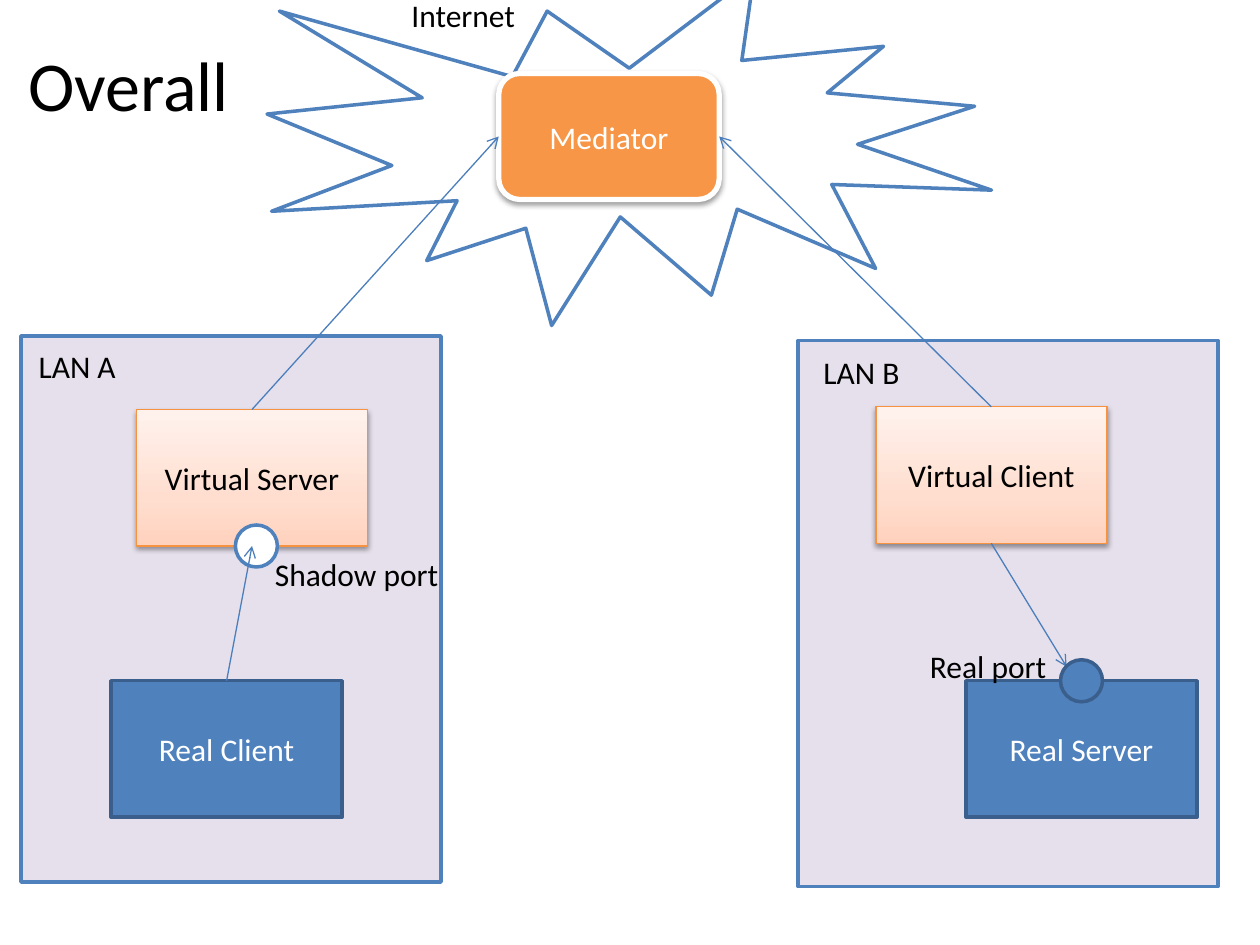
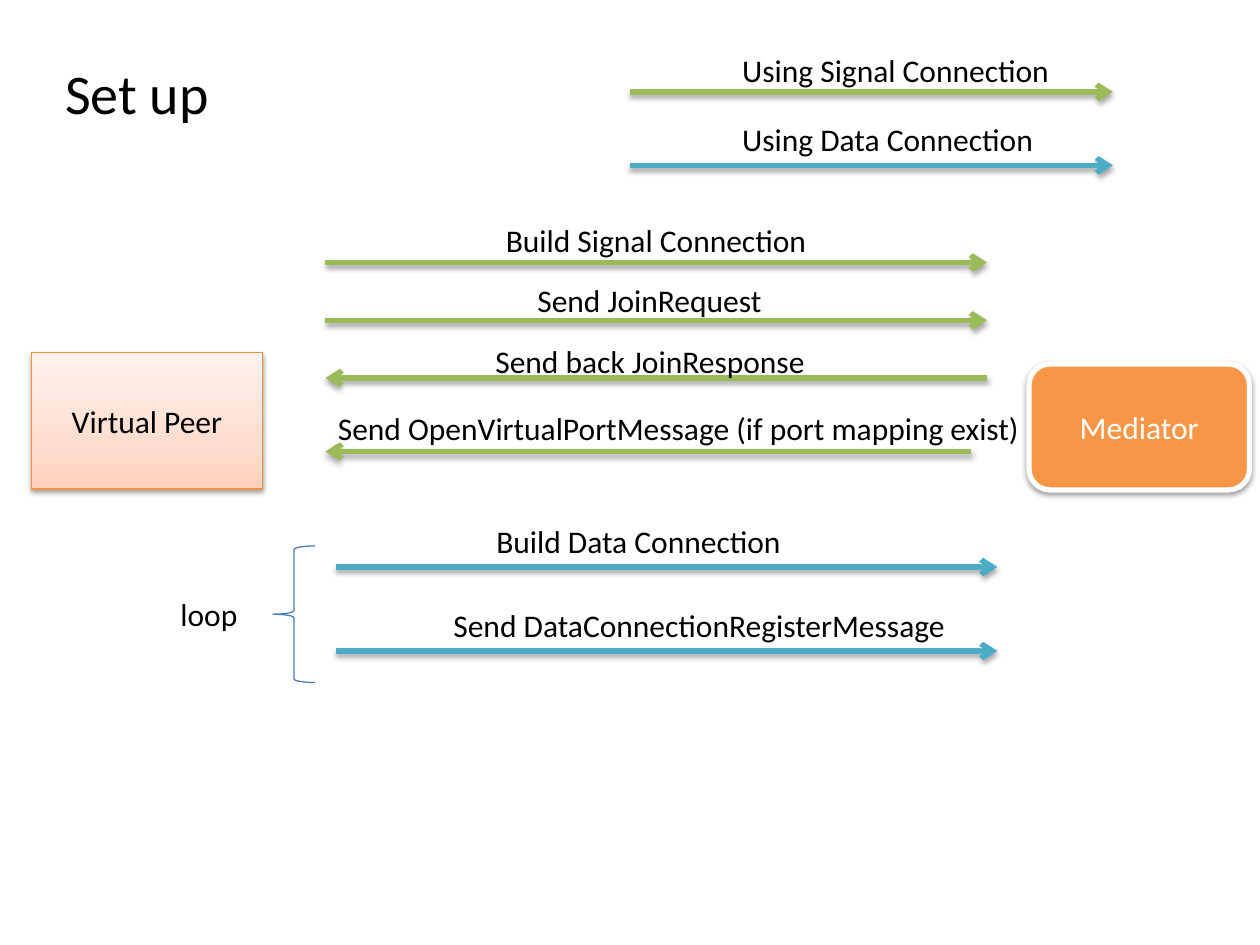
from lxml import etree
from pptx import Presentation
from pptx.dml.color import RGBColor
from pptx.enum import shapes, text
from pptx.oxml import parse_xml
from pptx.oxml.ns import qn
from pptx.util import Pt

FONT = "Calibri"
BLUE, NAVY, THIN = "4F81BD", "3A5F8C", "4B7EBC"
GREEN, TEAL = "9BBB59", "4BACC6"
ORANGE, LILAC, WHITE, BLACK = "F79646", "E6E0EC", "FFFFFF", "000000"
PEACH = [(0, "FFD2BD"), (35, "FFDED0"), (100, "FFF2ED")]
NS = 'xmlns:a="http://schemas.openxmlformats.org/drawingml/2006/main"'
SHADE = ('<a:outerShdw {} blurRad="40000" dist="{}" dir="5400000" rotWithShape="0">'
         '<a:srgbClr val="000000"><a:alpha val="{}"/></a:srgbClr></a:outerShdw>')
rgb = RGBColor.from_string
geo = shapes.MSO_SHAPE

# Looks: preset, fill, line colour, line width, text colour, shadow
LAN = (geo.RECTANGLE, LILAC, BLUE, 2, BLACK, False)
BURST = (geo.EXPLOSION1, WHITE, BLUE, 2, BLACK, False)
HUB = (geo.ROUNDED_RECTANGLE, ORANGE, WHITE, 3, WHITE, True)
VIRTUAL = (geo.RECTANGLE, PEACH, "F69240", 0.75, BLACK, True)
REAL = (geo.RECTANGLE, BLUE, NAVY, 2, WHITE, False)
SHADOW_PORT = (geo.FLOWCHART_CONNECTOR, WHITE, BLUE, 2, BLACK, False)
REAL_PORT = (geo.FLOWCHART_CONNECTOR, BLUE, NAVY, 2, WHITE, False)
BRACE = (geo.LEFT_BRACE, None, THIN, 0.75, BLACK, False)
LABEL = None
TITLE = "title"


def box(slide, look, x, y, w, h, words="", size=18):
    """Place a title, a plain label or a styled shape."""
    area = [Pt(v) for v in (x, y, w, h)]
    ink = BLACK
    if look == TITLE:
        item = slide.shapes.title
        item.left, item.top, item.width, item.height = area
    elif look is LABEL:
        item = slide.shapes.add_textbox(*area)
    else:
        kind, fill, edge, width, ink, shade = look
        item = slide.shapes.add_shape(kind, *area)
        if fill is None:
            item.fill.background()
        elif fill is PEACH:
            item.fill.gradient()
            item.fill.gradient_angle = 90
            stops = item._element.spPr.find(".//" + qn("a:gsLst"))
            for old in list(stops):
                stops.remove(old)
            for pos, tone in PEACH:
                stops.append(parse_xml(f'<a:gs {NS} pos="{pos * 1000}">'
                                       f'<a:srgbClr val="{tone}"/></a:gs>'))
        else:
            item.fill.solid()
            item.fill.fore_color.rgb = rgb(fill)
        item.line.color.rgb = rgb(edge)
        item.line.width = Pt(width)
        item.shadow.inherit = False
        if shade:
            item._element.spPr.find(qn("a:effectLst")).append(
                parse_xml(SHADE.format(NS, 20000, 38000)))
    if not words:
        return
    frame = item.text_frame
    para = frame.paragraphs[0]
    if look in (LABEL, TITLE):
        frame.word_wrap = False
        frame.auto_size = text.MSO_AUTO_SIZE.SHAPE_TO_FIT_TEXT
        frame.vertical_anchor = text.MSO_ANCHOR.TOP
        para.alignment = text.PP_ALIGN.LEFT
    else:
        frame.vertical_anchor = text.MSO_ANCHOR.MIDDLE
        para.alignment = text.PP_ALIGN.CENTER
    run = para.add_run()
    run.text = words
    run.font.name, run.font.size = FONT, Pt(size)
    run.font.color.rgb = rgb(ink)


def arrow(slide, x1, y1, x2, y2, tone=THIN, width=0.75, shade=False):
    """Draw a straight arrow that points at its second end."""
    link = slide.shapes.add_connector(shapes.MSO_CONNECTOR.STRAIGHT,
                                      Pt(x1), Pt(y1), Pt(x2), Pt(y2))
    link.line.color.rgb = rgb(tone)
    link.line.width = Pt(width)
    props = link._element.spPr
    etree.SubElement(props.find(qn("a:ln")), qn("a:tailEnd"), type="arrow")
    effect = etree.SubElement(props, qn("a:effectLst"))
    if shade:
        effect.append(parse_xml(SHADE.format(NS, 23000, 35000)))


deck = Presentation()
deck.slide_width, deck.slide_height = Pt(720), Pt(540)
plain = deck.slide_layouts[5]

# Slide 1: networks and the mediator between them
page = deck.slides.add_slide(plain)
box(page, TITLE, 9, 20, 130, 55.7, "Overall", 40)
box(page, LAN, 456, 194.5, 240, 312)
box(page, LAN, 12, 192, 240, 312)
box(page, BURST, 152.6, -15, 414, 201)
box(page, HUB, 285, 42, 126, 72, "Mediator")
for look, x, y, words in [
    (VIRTUAL, 78, 234, "Virtual Server"),
    (VIRTUAL, 500.5, 232.5, "Virtual Client"),
    (REAL, 63.5, 389, "Real Client"),
    (REAL, 552, 389, "Real Server"),
]:
    box(page, look, x, y, 132, 78, words)

# Links into the mediator and the real server
arrow(page, 566.5, 310.5, 609.5, 381)
arrow(page, 566.5, 232.5, 411, 78)
arrow(page, 144, 234, 285, 78)

# Ports, with the client's link drawn over its port
box(page, REAL_PORT, 606, 377, 24, 24)
box(page, SHADOW_PORT, 134.5, 300, 24, 24)
arrow(page, 129.5, 389, 144, 312)

for x, y, w, words in [
    (15, 195, 59, "LAN A"),
    (463.5, 198, 58, "LAN B"),
    (228, -6, 74, "Internet"),
    (150, 313.5, 108.5, "Shadow port"),
    (524.3, 366, 82, "Real port"),
]:
    box(page, LABEL, x, y, w, 29, words)

# Slide 2: message sequence
page = deck.slides.add_slide(plain)
box(page, TITLE, 30, 30, 97, 46, "Set up", 32)
box(page, HUB, 588, 208, 126, 72, "Mediator")
box(page, VIRTUAL, 18, 201.5, 132, 78, "Virtual Peer")

# Each message: arrow start, end, height, colour, then label place and words
for x1, x2, y, tone, x, top, w, words in [
    (360, 636, 52.5, GREEN, 417, 25.5, 192, "Using Signal Connection"),
    (360, 636, 94.5, TEAL, 417, 65, 183, "Using Data Connection"),
    (186, 564, 150, GREEN, 282, 123, 188.5, "Build Signal Connection"),
    (186, 564, 183, GREEN, 300, 157, 144, "Send JoinRequest"),
    (564, 186, 216, GREEN, 276, 192, 197, "Send back JoinResponse"),
    (555, 186, 258, GREEN, 186, 230, 412.5,
     "Send OpenVirtualPortMessage (if port mapping exist)"),
    (192, 570, 324, TEAL, 276.5, 295, 179, "Build Data Connection"),
    (192, 570, 372, TEAL, 252, 342.5, 303, "Send DataConnectionRegisterMessage"),
]:
    arrow(page, x1, y, x2, y, tone, 3, True)
    box(page, LABEL, x, top, w, 29, words)

# Loop over the data connections
box(page, BRACE, 156, 312, 24, 78)
box(page, LABEL, 96, 336.5, 47.5, 29, "loop")

deck.save("out.pptx")
